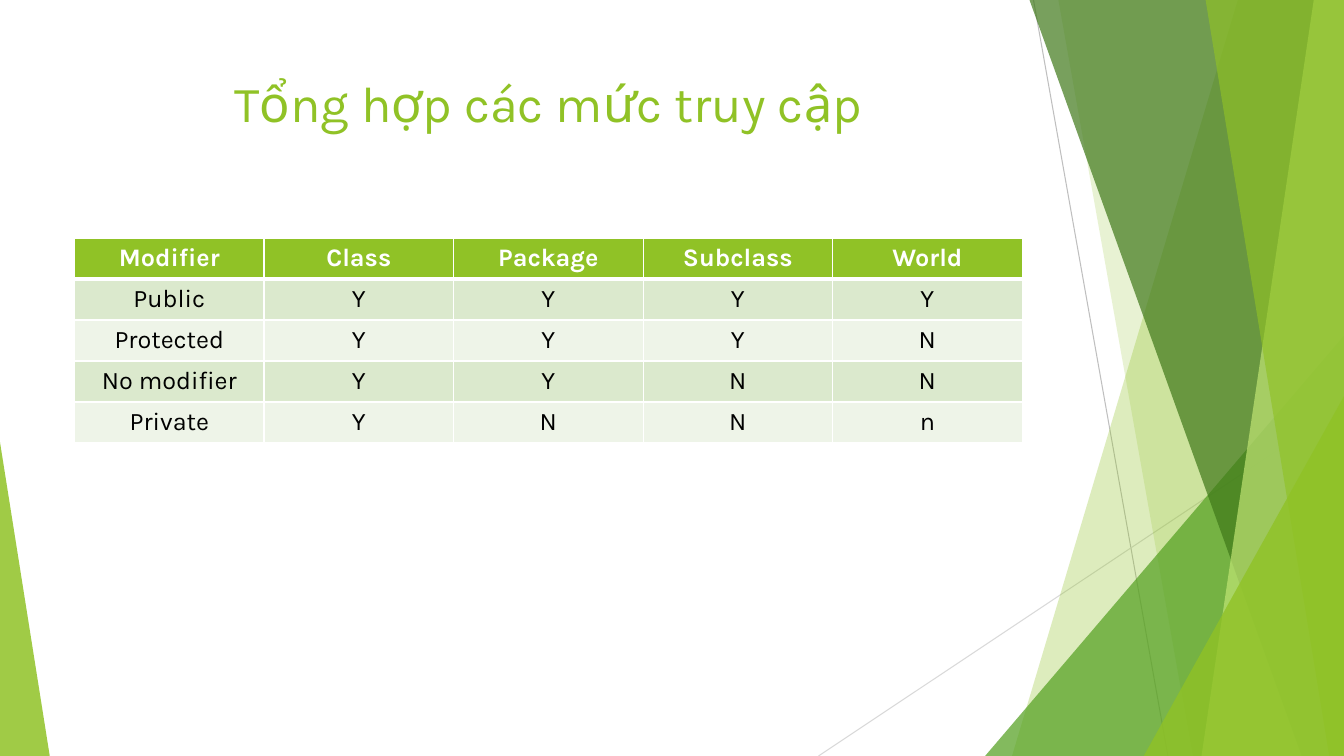
import pptx
import pptx.util
import pptx.dml.color
import pptx.enum.shapes
import pptx.enum.text
import pptx.oxml
import pptx.oxml.ns
import lxml.etree

FONT = "Karla"
GREEN, WHITE, BLACK = "90C226", "FFFFFF", "000000"
BANDS = ["DBE9CD", "EEF4E8"]
SLIDE_W, SLIDE_H = pptx.util.Inches(13.33), pptx.util.Inches(7.5)
CENTER = pptx.enum.text.PP_ALIGN.CENTER

# Percent of the box, from back to front
RAYS = [((76.9, 0), (86.9, 100), "BFBFBF"), ((100, 53.7), (60.9, 100), "D9D9D9")]
FACETS = [  # kind, geometry, colour, opacity
    ("sheet", (92.1, 75.3), GREEN, 30),
    ("sheet", (78.75, 88.75), GREEN, 20),
    ("corner", (73.3, 44.4, 26.7, 1), "54A021", 72),
    ("sheet", (76.6, 96.85), "3F7819", 70),
    ("sheet", (97.75, 89.4), "C0E474", 70),
    ("sheet", (89.7, 98.9), GREEN, 65),
    ("corner", (85.1, 52.4, 14.9, 1), GREEN, 80),
    ("corner", (0, 58.5, 3.7, 0), GREEN, 85),
]
ROWS = [
    ["Modifier", "Class", "Package", "Subclass", "World"],
    ["Public", "Y", "Y", "Y", "Y"],
    ["Protected", "Y", "Y", "Y", "N"],
    ["No modifier", "Y", "Y", "N", "N"],
    ["Private", "Y", "N", "N", "n"],
]


def rgb(value):
    """Turn a hex string into a colour."""
    return pptx.dml.color.RGBColor.from_string(value)


def share(box, x, y):
    """Return the point at x and y percent of a box."""
    left, top, width, height = box
    return round(left + width * x / 100), round(top + height * y / 100)


def sub_box(box, x, y, w, h):
    """Return the box lying at percentages of another box."""
    return (*share(box, x, y), round(box[2] * w / 100), round(box[3] * h / 100))


def write(tf, text, color, **font):
    """Put one centred run of text in a text frame."""
    p = tf.paragraphs[0]
    p.alignment = CENTER
    r = p.add_run()
    r.text = text
    r.font.color.rgb = rgb(color)
    for name, value in {"name": FONT, **font}.items():
        setattr(r.font, name, value)


def paint(sp, color, opacity):
    """Give a shape a translucent fill, without line or shadow."""
    sp.shadow.inherit = False
    sp.line.fill.background()
    sp.fill.solid()
    sp.fill.fore_color.rgb = rgb(color)
    clr = sp.fill._xPr.find(".//" + pptx.oxml.ns.qn("a:srgbClr"))
    lxml.etree.SubElement(clr, pptx.oxml.ns.qn("a:alpha"), val=str(opacity * 1000))


def add_ray(s, box, start, end, color):
    """Draw a thin straight line between two points of the box."""
    line = s.shapes.add_connector(pptx.enum.shapes.MSO_CONNECTOR.STRAIGHT,
                                  *share(box, *start), *share(box, *end))
    line.line.color.rgb = rgb(color)
    line.line.width = pptx.util.Pt(0.75)
    lxml.etree.SubElement(line._element.spPr, pptx.oxml.ns.qn("a:effectLst"))


def add_sheet(s, box, top_x, bottom_x):
    """Draw a full-height sheet from a slanted left edge to the right side."""
    points = [share(box, *pt) for pt in
              [(top_x, 0), (100, 0), (100, 100), (bottom_x, 100)]]
    fb = s.shapes.build_freeform(*points[0], scale=1.0)
    fb.add_line_segments(points[1:], close=True)
    return fb.convert_to_shape()


def add_corner(s, box, x, y, width, apex):
    """Draw a right triangle standing on the bottom edge."""
    sp = s.shapes.add_shape(pptx.enum.shapes.MSO_SHAPE.ISOSCELES_TRIANGLE,
                            *sub_box(box, x, y, width, 100 - y))
    sp.adjustments[0] = apex
    return sp


def add_backdrop(s, box):
    """Lay the rays and green facets over the box."""
    for ray in RAYS:
        add_ray(s, box, *ray)
    draw = {"sheet": add_sheet, "corner": add_corner}
    for kind, geometry, color, opacity in FACETS:
        paint(draw[kind](s, box, *geometry), color, opacity)


def add_title(s, box, text):
    """Write the heading at the top of its box."""
    tf = s.shapes.add_textbox(*box).text_frame
    tf.word_wrap = True
    tf.vertical_anchor = pptx.enum.text.MSO_ANCHOR.TOP
    write(tf, text, GREEN, size=pptx.util.Pt(36))


def set_borders(cell, widths):
    """Draw white cell borders, with widths in points by side."""
    tcPr = cell._tc.get_or_add_tcPr()
    for i, side in enumerate("LRTB"):
        ln = pptx.oxml.parse_xml(
            f'<a:ln{side} {pptx.oxml.ns.nsdecls("a")} w="{pptx.util.Pt(widths[side])}">'
            f'<a:solidFill><a:srgbClr val="{WHITE}"/></a:solidFill></a:ln{side}>')
        tcPr.insert(i, ln)


def add_access_table(s, box, rows):
    """Fill the box with a banded table under a green header."""
    table = s.shapes.add_table(len(rows), len(rows[0]), *box).table
    for col in table.columns:
        col.width = round(box[2] / len(rows[0]))
    for i, row in enumerate(rows):
        table.rows[i].height = round(box[3] / len(rows))
        header = i == 0
        fill = GREEN if header else BANDS[(i - 1) % 2]
        widths = {"L": 1, "R": 1, "T": 3 if i == 1 else 1, "B": 3 if header else 1}
        for j, text in enumerate(row):
            cell = table.cell(i, j)
            cell.fill.solid()
            cell.fill.fore_color.rgb = rgb(fill)
            set_borders(cell, widths)
            write(cell.text_frame, text, WHITE if header else BLACK,
                  size=pptx.util.Pt(18), bold=header)


def main():
    """Build and save the slide."""
    prs = pptx.Presentation()
    prs.slide_width, prs.slide_height = SLIDE_W, SLIDE_H
    s = prs.slides.add_slide(prs.slide_layouts[6])
    page = (0, 0, SLIDE_W, SLIDE_H)
    add_backdrop(s, page)
    add_title(s, sub_box(page, 5.55, 8.9, 70.5, 19.2), "Tổng hợp các mức truy cập")
    add_access_table(s, sub_box(page, 5.55, 31.5, 70.5, 27.1), ROWS)
    prs.save("out.pptx")


main()
